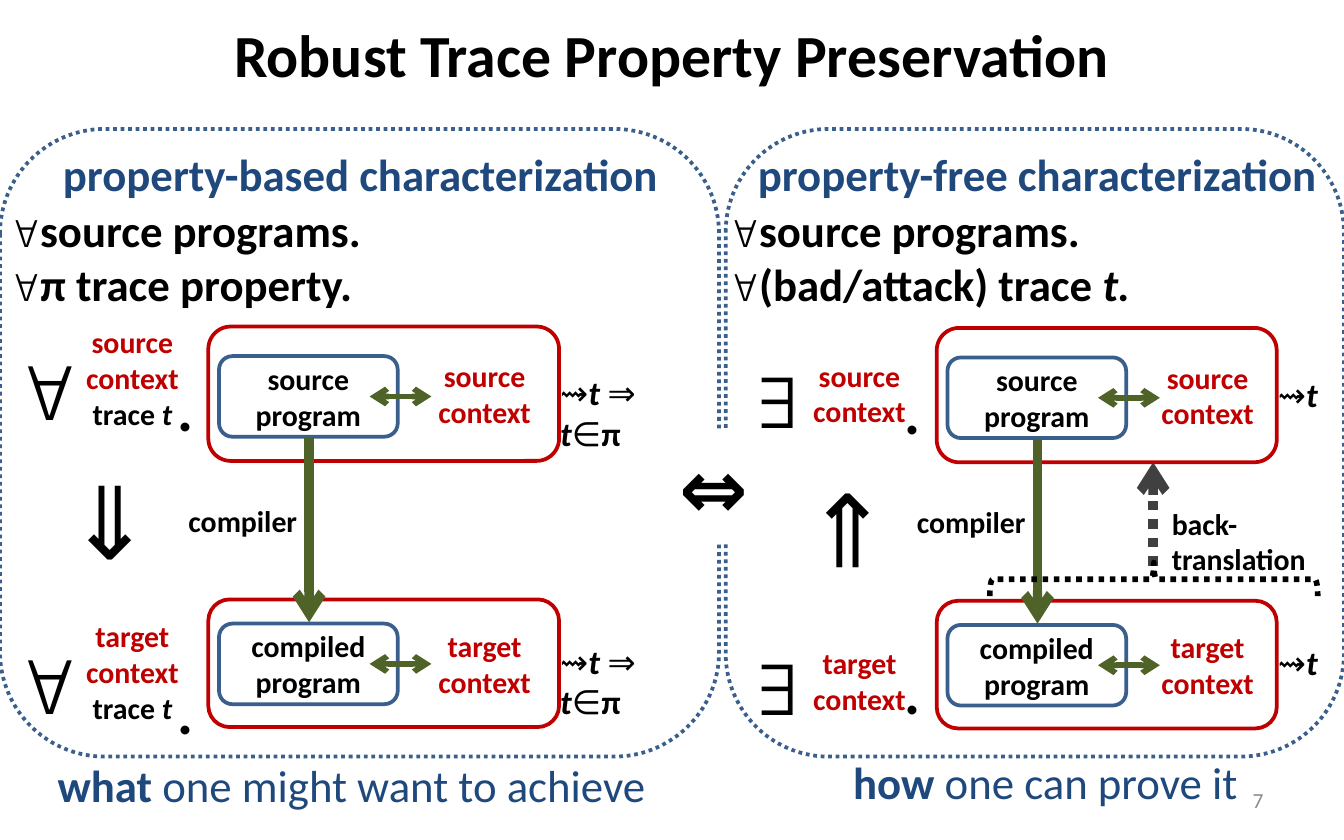
import pptx
import pptx.dml.color
import pptx.enum.dml
import pptx.enum.shapes
import pptx.enum.text
import pptx.oxml
import pptx.oxml.ns
import pptx.util
from pptx.util import Inches

SHAPES = pptx.enum.shapes.MSO_SHAPE
ALIGN = pptx.enum.text.PP_ALIGN
BLACK, RED, BLUE = "000000", "C00000", "3A5F8C"
NAVY, GREEN, GRAY = "1F497D", "4F6228", "404040"
MATH = {"name": "Courier New"}
PLAIN = {"bold": False}
ITALIC = {"italic": True}
TRACE = {"bold": True, "italic": True}


def color(value):
    return pptx.dml.color.RGBColor.from_string(value)


def format_font(font, **settings):
    for name, value in settings.items():
        if name == "color":
            font.color.rgb = color(value)
        else:
            setattr(font, name, value)


def write(frame, lines, size, text_color=BLACK, bold=True, align=ALIGN.LEFT):
    for index, line in enumerate(lines):
        paragraph = frame.add_paragraph() if index else frame.paragraphs[0]
        paragraph.alignment = align
        format_font(paragraph.font, name="Calibri", size=pptx.util.Pt(size),
                    color=text_color, bold=bold)
        for text, settings in [(line, {})] if isinstance(line, str) else line:
            run = paragraph.add_run()
            run.text = text
            format_font(run.font, **settings)


def add_text(slide, box, lines, size, wrap=False, rotation=0, **style):
    shape = slide.shapes.add_textbox(*map(Inches, box))
    shape.rotation = rotation
    shape.text_frame.word_wrap = wrap
    shape.text_frame.auto_size = pptx.enum.text.MSO_AUTO_SIZE.SHAPE_TO_FIT_TEXT
    write(shape.text_frame, lines, size, **style)
    return shape


def style_line(line, line_color, width, dotted):
    line.color.rgb = color(line_color)
    line.width = pptx.util.Pt(width)
    if dotted:
        line.dash_style = pptx.enum.dml.MSO_LINE.ROUND_DOT


def add_outline(slide, kind, box, line_color, width=2, filled=False, dotted=False):
    shape = slide.shapes.add_shape(kind, *map(Inches, box))
    shape.shadow.inherit = False
    if filled:
        shape.fill.solid()
        shape.fill.fore_color.rgb = color("FFFFFF")
    else:
        shape.fill.background()
    style_line(shape.line, line_color, width, dotted)
    return shape


def add_arrow(slide, start, end, line_color, width, ends=("tailEnd",), dotted=False):
    connector = slide.shapes.add_connector(
        pptx.enum.shapes.MSO_CONNECTOR.STRAIGHT, *map(Inches, start + end))
    style_line(connector.line, line_color, width, dotted)
    properties = connector.element.spPr
    line = properties.find(pptx.oxml.ns.qn("a:ln"))
    namespace = pptx.oxml.ns.nsdecls("a")
    for name in ends:
        line.append(pptx.oxml.parse_xml(f'<a:{name} {namespace} type="arrow"/>'))
    properties.append(pptx.oxml.parse_xml(f"<a:effectLst {namespace}/>"))


def add_title(slide, box):
    title = slide.shapes.title
    title.left, title.top, title.width, title.height = map(Inches, box)
    title.text_frame.vertical_anchor = pptx.enum.text.MSO_ANCHOR.MIDDLE
    write(title.text_frame, ["Robust Trace Property Preservation"], 32, align=ALIGN.CENTER)


def add_panel(slide, box, heading, heading_box, statements, caption, caption_box):
    left, top = box[:2]
    add_outline(slide, SHAPES.ROUNDED_RECTANGLE, box, BLUE, dotted=True)
    add_text(slide, heading_box, [heading], 24, text_color=NAVY)
    lines = [[("∀", MATH)] + statement for statement in statements]
    add_text(slide, (max(left - 0.05, 0), top + 0.5, 3.2 if left else 2.81, 0.91), lines, 24)
    add_text(slide, caption_box, [caption], 24, text_color=NAVY)


def add_quantified_context(slide, left, top, symbol, context, with_trace, dot_drop):
    lines = [context, "context"]
    if with_trace:
        lines.append([("trace ", {"color": BLACK}), ("t", {"color": BLACK, **ITALIC})])
    text_top = top - (0.05 if with_trace else -0.14)
    add_text(slide, (left + 0.36, text_top, 1.09, 0.91 if with_trace else 0.64),
             lines, 16, wrap=True, text_color=RED, align=ALIGN.CENTER)
    add_text(slide, (left, top, 0.61, 0.91), [[(symbol, MATH)]], 48)
    add_text(slide, (left + 1.14, top + dot_drop, 0.32, 0.64), ["."], 32)


def add_whole_program(slide, box, program, context, link_drop):
    left, top, width = box[:3]
    whole = add_outline(slide, SHAPES.ROUNDED_RECTANGLE, box, RED, filled=True)
    whole.text_frame.margin_left = Inches(1.6)
    write(whole.text_frame, [context, "context"], 16, RED, align=ALIGN.CENTER)
    part_top = top + link_drop - 0.3
    part = add_outline(slide, SHAPES.ROUNDED_RECTANGLE,
                       (left + 0.08, part_top, 1.33, 0.6), BLUE, filled=True)
    write(part.text_frame, [program, "program"], 16, align=ALIGN.CENTER)
    link = top + link_drop
    add_arrow(slide, (left + 1.2, link), (left + 1.66, link), GREEN, 3,
              ends=("headEnd", "tailEnd"))


def add_compilation(slide, left, top, width, trace_lines):
    add_whole_program(slide, (left, top, width, 1), "source", "source", 0.52)
    add_whole_program(slide, (left, top + 2.03, width, 0.95), "compiled", "target", 0.48)
    add_arrow(slide, (left + 0.75, top + 0.83), (left + 0.75, top + 2.2), GREEN, 5)
    add_text(slide, (left - 0.26, top + 1.26, 1.02, 0.37), ["compiler"], 16, align=ALIGN.RIGHT)
    for drop in (0.29, 2.29):
        add_text(slide, (left + width - 0.09, top + drop, 0.85 if len(trace_lines) > 1 else 0.53, 0.4),
                 trace_lines, 18, wrap=True, bold=False)


def add_back_translation(slide, left, top):
    add_arrow(slide, (left + 1.22, top + 1.12), (left + 1.22, top + 0.35), GRAY, 5, dotted=True)
    add_text(slide, (left + 1.26, top + 0.62, 1.21, 0.64), ["back-", "translation"], 16)
    brace = add_outline(slide, SHAPES.RIGHT_BRACE, (left + 1.1, top, 0.25, 2.44),
                        BLACK, 3, dotted=True)
    brace.rotation = 270


def add_equivalence(slide, box):
    shape = add_text(slide, box, ["⇔"], 44)
    shape.fill.solid()
    shape.fill.fore_color.rgb = color("FFFFFF")


def main():
    presentation = pptx.Presentation()
    presentation.slide_width, presentation.slide_height = Inches(10), Inches(6.25)
    slide = presentation.slides.add_slide(presentation.slide_layouts[5])
    add_title(slide, (0.5, -0.12, 9, 1.04))

    add_panel(slide, (0, 0.96, 5.35, 4.67),
              "property-based characterization", (0.37, 1.04, 4.68, 0.5),
              [[("source programs.", {})], [("π trace property.", {})]],
              [("what ", {}), ("one might want to achieve", PLAIN)], (0.33, 5.59, 4.61, 0.5))
    add_compilation(slide, 1.55, 2.43, 2.61,
                    [[("⇝", {}), ("t ", TRACE), ("⇒", {})],
                     [("t", TRACE), ("∈", {}), ("π", {"bold": True})]])
    add_quantified_context(slide, 0.08, 2.41, "∀", "source", True, 0.31)
    add_quantified_context(slide, 0.08, 4.6, "∀", "target", True, 0.37)
    add_text(slide, (0.45, 3.4, 0.86, 1.01), ["⇒"], 54, rotation=90, bold=False)

    add_panel(slide, (5.4, 0.96, 4.6, 4.67),
              "property-free characterization", (5.54, 1.04, 4.41, 0.5),
              [[("source programs.", {})], [("(bad/attack) trace ", {}), ("t.", ITALIC)]],
              [("how", {}), (" one can prove it", PLAIN)], (6.25, 5.57, 3.07, 0.5))
    add_compilation(slide, 6.97, 2.44, 2.53, [[("⇝", {}), ("t", TRACE)]])
    add_quantified_context(slide, 5.49, 2.47, "∃", "source", False, 0.27)
    add_quantified_context(slide, 5.49, 4.61, "∃", "target", False, 0.21)
    add_text(slide, (5.82, 3.43, 0.86, 1.01), ["⇒"], 54, rotation=270, bold=False)
    add_back_translation(slide, 7.36, 3.09)

    add_equivalence(slide, (4.96, 3.2, 0.83, 0.84))
    number = add_text(slide, (7.17, 5.79, 2.33, 0.33), ["7"], 11.5, wrap=True,
                      text_color="8C8C8C", bold=False, align=ALIGN.RIGHT)
    number.text_frame.vertical_anchor = pptx.enum.text.MSO_ANCHOR.MIDDLE
    presentation.save("out.pptx")


if __name__ == "__main__":
    main()
